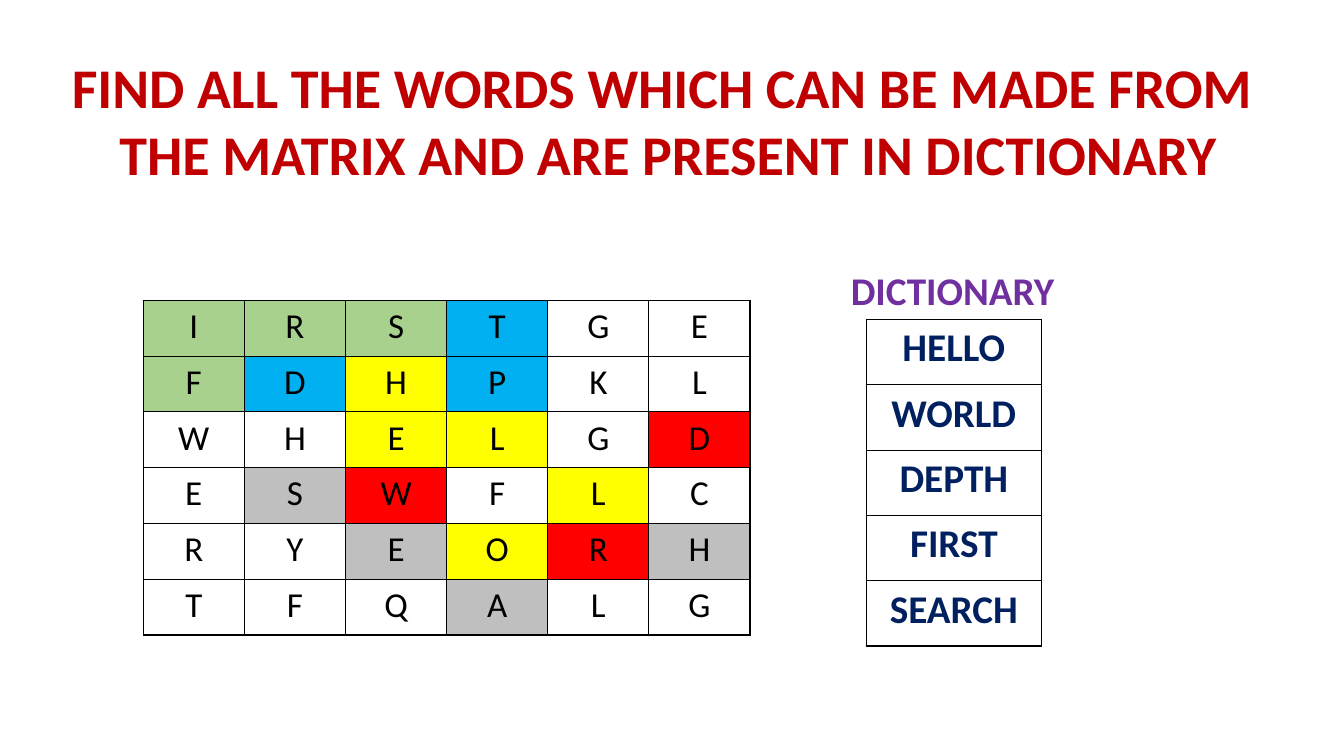
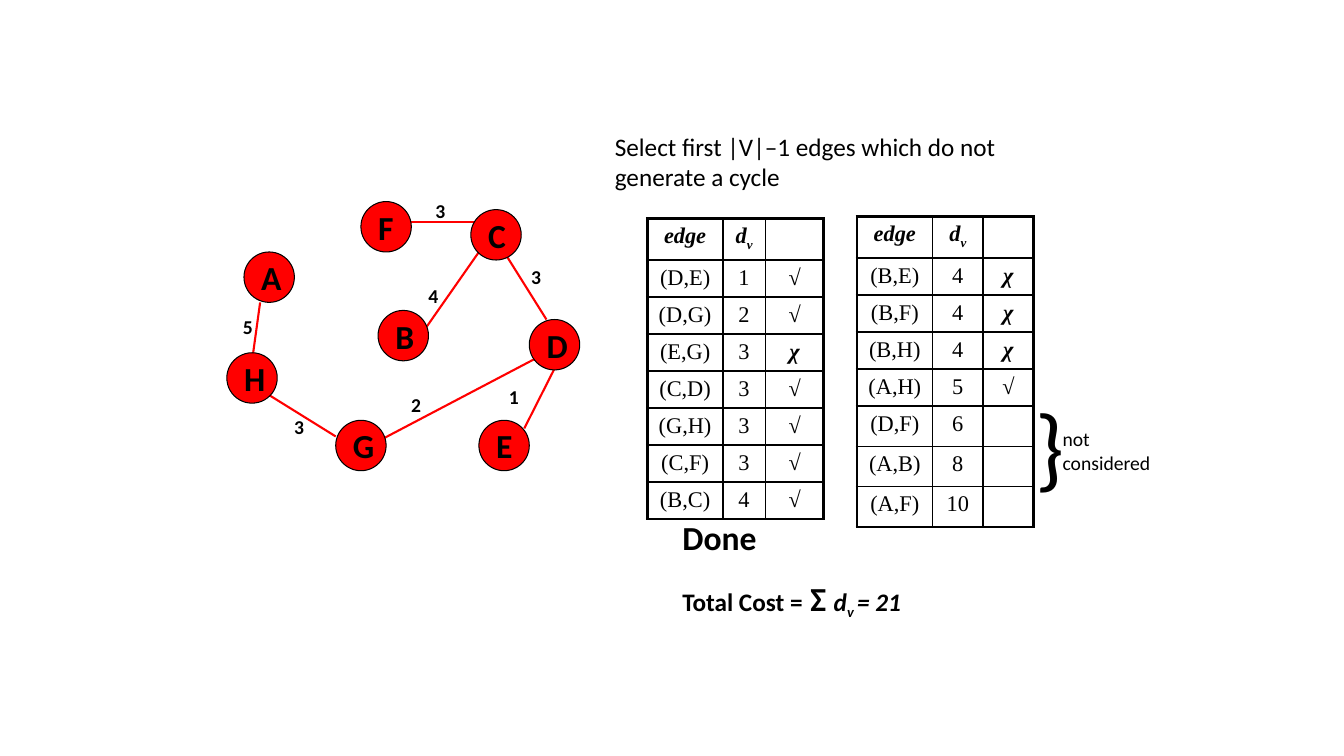
import pptx
import pptx.dml.color
import pptx.enum.shapes
import pptx.enum.text
import pptx.oxml
import pptx.oxml.ns
import pptx.util

Inches = pptx.util.Inches
Pt = pptx.util.Pt
CENTER = pptx.enum.text.PP_ALIGN.CENTER
LEFT = pptx.enum.text.PP_ALIGN.LEFT
BLACK, RED, WHITE = "000000", "FF0000", "FFFFFF"


def color(value):
    return pptx.dml.color.RGBColor.from_string(value)


class Painter:
    base = {"name": "Calibri", "size": Pt(18), "bold": False, "italic": False}

    def __init__(self, deck):
        self.deck = deck
        self.slide = None

    def new_slide(self):
        self.slide = self.deck.slides.add_slide(self.deck.slide_layouts[6])
        fill = self.slide.background.fill
        fill.solid()
        fill.fore_color.rgb = color(WHITE)

    def add_spans(self, para, spans, ink=BLACK, align=LEFT, **style):
        para.alignment = align
        for text, changes in spans:
            span = para.add_run()
            span.text = text
            values = {**self.base, **style, **changes}
            baseline = values.pop("baseline", None)
            for name, value in values.items():
                setattr(span.font, name, value)
            span.font.color.rgb = color(ink)
            if baseline:
                span.font._element.set("baseline", str(baseline))

    def text(self, at, lines, gap=0, wrap=True, hang=0, **style):
        box = self.slide.shapes.add_textbox(*map(Inches, at))
        frame = box.text_frame
        frame.word_wrap = wrap
        for index, line in enumerate(lines):
            para = frame.add_paragraph() if index else frame.paragraphs[0]
            if index and gap:
                para.space_before = Pt(gap)
            if hang:
                properties = para._p.get_or_add_pPr()
                properties.set("marL", str(Inches(hang)))
                properties.set("indent", str(-Inches(hang)))
            spans = [(line, {})] if isinstance(line, str) else line
            self.add_spans(para, spans, **style)

    def node(self, letter, left, top):
        circle = self.slide.shapes.add_shape(
            pptx.enum.shapes.MSO_SHAPE.OVAL, *map(Inches, (left, top, 0.5, 0.5)))
        circle.shadow.inherit = False
        circle.fill.solid()
        circle.fill.fore_color.rgb = color(RED)
        circle.line.color.rgb = color(BLACK)
        circle.line.width = Pt(0.75)
        frame = circle.text_frame
        frame.word_wrap = False
        frame.vertical_anchor = pptx.enum.text.MSO_ANCHOR.MIDDLE
        self.add_spans(frame.paragraphs[0], [(letter, {})], size=Pt(24), bold=True)

    def edge(self, start, end):
        line = self.slide.shapes.add_connector(
            pptx.enum.shapes.MSO_CONNECTOR.STRAIGHT, *map(Inches, start + end))
        line.line.color.rgb = color(RED)
        line.line.width = Pt(1.5)
        line._element.spPr.append(pptx.oxml.parse_xml(
            f'<a:effectLst {pptx.oxml.ns.nsdecls("a")}/>'))

    def borders(self, cell, widths):
        properties = cell._tc.get_or_add_tcPr()
        for side, width in zip("LRTB", widths):
            properties.append(pptx.oxml.parse_xml(
                f'<a:ln{side} {pptx.oxml.ns.nsdecls("a")} w="{Pt(width)}">'
                f'<a:solidFill><a:srgbClr val="{BLACK}"/></a:solidFill></a:ln{side}>'))

    def table(self, left, top, widths, heights, rows, fills=None, outer=1, **style):
        at = (left, top, sum(widths), sum(heights))
        table = self.slide.shapes.add_table(
            len(rows), len(widths), *map(Inches, at)).table
        table.first_row = table.horz_banding = False
        for column, width in zip(table.columns, widths):
            column.width = Inches(width)
        for row, height in zip(table.rows, heights):
            row.height = Inches(height)
        for r, row in enumerate(rows):
            for c, spans in enumerate(row):
                cell = table.cell(r, c)
                edges = (c == 0, c == len(row) - 1, r == 0, r == len(rows) - 1)
                self.borders(cell, [outer if edge else 1 for edge in edges])
                fill = fills.get((r, c)) if fills else None
                if fill:
                    cell.fill.solid()
                    cell.fill.fore_color.rgb = color(fill)
                else:
                    cell.fill.background()
                spans = [(spans, {})] if isinstance(spans, str) else spans
                self.add_spans(cell.text_frame.paragraphs[0], spans, align=CENTER, **style)


def word_search(painter):
    painter.new_slide()
    painter.text(
        (0.3, 0.47, 12.53, 1.45),
        ["FIND ALL THE WORDS WHICH CAN BE MADE FROM "
         "THE MATRIX AND ARE PRESENT IN DICTIONARY "],
        hang=0.25, align=CENTER, size=Pt(40), bold=True, ink="C00000")
    letters = ["IRSTGE", "FDHPKL", "WHELGD", "ESWFLC", "RYEORH", "TFQALG"]
    marks = ["gggb..", "gbyb..", "..yy.r", ".sr.y.", "..syrs", "...s.."]
    palette = {"g": "A9D18E", "b": "00B0F0", "y": "FFFF00", "r": RED, "s": "BFBFBF"}
    fills = {(r, c): palette.get(mark)
             for r, row in enumerate(marks) for c, mark in enumerate(row)}
    painter.table(1.42, 2.98, [6.02 / 6] * 6, [3.32 / 6] * 6, letters, fills, size=Pt(25))
    words = ["HELLO", "WORLD", "DEPTH", "FIRST", "SEARCH"]
    painter.table(8.59, 3.17, [1.74], [3.24 / 5] * 5, [[word] for word in words],
                  size=Pt(28), bold=True, ink="002060")
    painter.text((8.34, 2.59, 2.24, 0.57), ["DICTIONARY"], wrap=False,
                 size=Pt(28), bold=True, ink="7030A0")


def spanning_tree(painter):
    painter.new_slide()
    painter.text((6, 1.25, 4.42, 0.71),
                 ["Select first |V|–1 edges which do not generate a cycle"])

    edges = [
        ((2.5, 3.58), (2.58, 3), "5", (2.31, 3.08)),
        ((5.62, 3.42), (5.2, 4.25), "1", (4.95, 3.77)),
        ((4.17, 3.33), (4.75, 2.5), "4", (4.15, 2.77)),
        ((3.67, 4.42), (5.42, 3.5), "2", (3.98, 3.85)),
        ((4.05, 2.2), (4.72, 2.2), "3", (4.22, 1.92)),
        ((5, 2.5), (5.42, 3.17), "3", (5.17, 2.58)),
        ((3.33, 4.33), (2.67, 3.92), "3", (2.82, 4.07)),
    ]
    for start, end, weight, place in edges:
        painter.edge(start, end)
        painter.text(place + (0.33, 0.33), [weight], size=Pt(14), bold=True)
    nodes = {"A": (2.42, 2.5), "H": (2.25, 3.5), "B": (3.75, 3.08), "F": (3.58, 2),
             "E": (4.75, 4.17), "D": (5.25, 3.17), "C": (4.67, 2.08), "G": (3.33, 4.17)}
    for letter, place in nodes.items():
        painter.node(letter, *place)

    strong = {"bold": True, "italic": True}
    header = [[("edge", strong)],
              [("d", strong), ("v", {**strong, "baseline": -25000})], ""]
    tables = [
        (6.42, 2.17, [0.75, 0.42, 0.58],
         "DE 1 √,DG 2 √,EG 3 χ,CD 3 √,GH 3 √,CF 3 √,BC 4 √"),
        (8.5, 2.15, [0.75, 0.5, 0.5],
         "BE 4 χ,BF 4 χ,BH 4 χ,AH 5 √,DF 6 ,AB 8 ,AF 10 "),
    ]
    for left, top, widths, entries in tables:
        rows = [header]
        for entry in entries.split(","):
            ends, cost, verdict = entry.split(" ")
            rows.append([f"({ends[0]},{ends[1]})", cost,
                         [(verdict, strong)] if verdict else ""])
        painter.table(left, top, widths, [0.41] + [2.57 / 7] * 7, rows,
                      outer=2.25, name="Times New Roman", size=Pt(16))

    italic = {"italic": True}
    total = [("Total Cost =", {}), (" Σ ", {"size": Pt(24)}), ("d", italic),
             ("v ", {**italic, "baseline": -25000}), ("= 21", italic)]
    painter.text((6.67, 5.08, 3.17, 1.6), [[("Done", {"size": Pt(24)})], total],
                 gap=14.5, bold=True)
    painter.text((10.17, 3.8, 0.5, 1.2), ["}"], size=Pt(66))
    painter.text((10.44, 4.19, 1.08, 0.57), ["not", "considered"], size=Pt(14))


def main():
    deck = pptx.Presentation()
    deck.slide_width = Inches(13.33)
    deck.slide_height = Inches(7.5)
    painter = Painter(deck)
    word_search(painter)
    spanning_tree(painter)
    deck.save("out.pptx")


if __name__ == "__main__":
    main()
